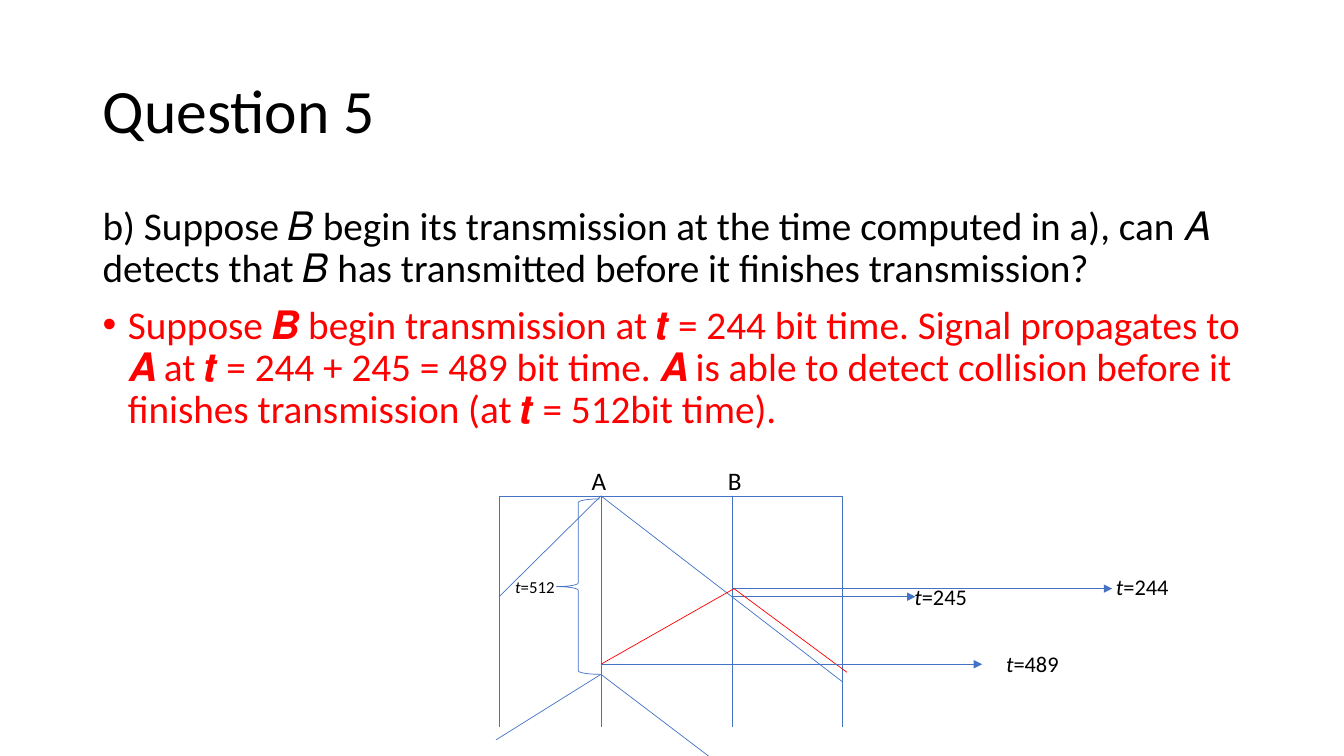
from pptx import Presentation
from pptx.dml.color import RGBColor
from pptx.enum.shapes import MSO_CONNECTOR, MSO_SHAPE
from pptx.enum.text import MSO_ANCHOR
from pptx.oxml.ns import qn
from pptx.util import Inches, Pt
from lxml import etree

STRAIGHT = MSO_CONNECTOR.STRAIGHT
LEFT_BRACE = MSO_SHAPE.LEFT_BRACE
TOP, MIDDLE = MSO_ANCHOR.TOP, MSO_ANCHOR.MIDDLE
BLACK, RED, BLUE = "000000", "FF0000", "4472C4"
BLANK_LAYOUT = 6

deck = Presentation()
deck.slide_width, deck.slide_height = Inches(13.33), Inches(7.5)
slide = deck.slides.add_slide(deck.slide_layouts[BLANK_LAYOUT])


def paint(target, color):
    target.rgb = RGBColor.from_string(color)


def add_text(box, paragraphs, size, anchor=TOP, spacing=1.0):
    frame = slide.shapes.add_textbox(*map(Inches, box)).text_frame
    frame.word_wrap = True
    frame.vertical_anchor = anchor
    for index, (color, bulleted, runs) in enumerate(paragraphs):
        paragraph = frame.paragraphs[0] if index == 0 else frame.add_paragraph()
        paragraph.line_spacing = spacing
        paragraph.space_before = Pt(10 if index else 0)
        if bulleted:
            properties = paragraph._p.get_or_add_pPr()
            properties.set("marL", str(Inches(0.25)))
            properties.set("indent", str(-Inches(0.25)))
            etree.SubElement(properties, qn("a:buFont")).set("typeface", "Arial")
            etree.SubElement(properties, qn("a:buChar")).set("char", "•")
        for words, italic in runs:
            run = paragraph.add_run()
            run.text = words
            run.font.name, run.font.size, run.font.italic = "Calibri", Pt(size), italic
            paint(run.font.color, color)


margin, text_width = 0.92, 11.5
question = ("b) Suppose 𝐵 begin its transmission at the time computed in a), can 𝐴 "
            "detects that 𝐵 has transmitted before it finishes transmission?")
answer = ("Suppose 𝑩 begin transmission at 𝒕 = 244 bit time. Signal propagates to "
          "𝑨 at 𝒕 = 244 + 245 = 489 bit time. 𝑨 is able to detect collision before it "
          "finishes transmission (at 𝒕 = 512bit time).")
add_text((margin, 0.4, text_width, 1.45), [(BLACK, False, [("Question 5", False)])],
         44, MIDDLE, 0.9)
add_text((margin, 2, text_width, 4.76),
         [(BLACK, False, [(question, False)]), (RED, True, [(answer, False)])],
         28, spacing=0.9)

cable_left, station_a, station_b, cable_right = 4.95, 5.96, 7.26, 8.35
start, b_sends, a_reaches_b, b_reaches_a, a_ends, bottom = 4.92, 5.84, 5.92, 6.59, 6.69, 7.21

signals = [(x, start, x, bottom, BLUE, False)
           for x in (cable_left, station_a, station_b, cable_right)]
signals += [
    (cable_left, start, cable_right, start, BLUE, False),
    (station_a, start, cable_left, a_reaches_b, BLUE, False),
    (station_a, start, cable_right, 6.76, BLUE, False),
    (station_b, a_reaches_b, 9.08, a_reaches_b, BLUE, True),
    (station_b, b_sends, 11.03, b_sends, BLUE, True),
    (7.28, b_sends, station_a, b_reaches_a, RED, False),
    (7.28, b_sends, 8.4, 6.67, RED, False),
    (station_a, b_reaches_a, 9.74, b_reaches_a, BLUE, True),
    (station_a, a_ends, 4.92, 7.34, BLUE, False),
    (station_a, a_ends, 8.37, 8.52, BLUE, False),
]
for x1, y1, x2, y2, color, arrow in signals:
    signal = slide.shapes.add_connector(STRAIGHT, *map(Inches, (x1, y1, x2, y2)))
    signal.line.width = Pt(0.5)
    paint(signal.line.color, color)
    if arrow:
        etree.SubElement(signal.line._get_or_add_ln(), qn("a:tailEnd")).set("type", "triangle")
    etree.SubElement(signal._element.spPr, qn("a:effectLst"))

duration = slide.shapes.add_shape(
    LEFT_BRACE, *map(Inches, (5.52, 4.95, 0.43, 1.74)))
duration.shadow.inherit = False
duration.fill.background()
duration.line.width = Pt(0.5)
paint(duration.line.color, BLUE)

for station, x, width in (("A", 5.77, 0.8), ("B", 7.12, 1.42)):
    add_text((x, 4.57, width, 0.4), [(BLACK, False, [(station, False)])], 18)

for moment, x, y, width, height, size in (
        ("245", 8.97, 5.74, 1.42, 0.37, 16),
        ("244", 10.97, 5.64, 1.42, 0.37, 16),
        ("489", 9.88, 6.4, 1.42, 0.37, 16),
        ("512", 5.01, 5.67, 0.85, 0.3, 12)):
    add_text((x, y, width, height),
             [(BLACK, False, [("t", True), ("=" + moment, False)])], size)

deck.save("out.pptx")
